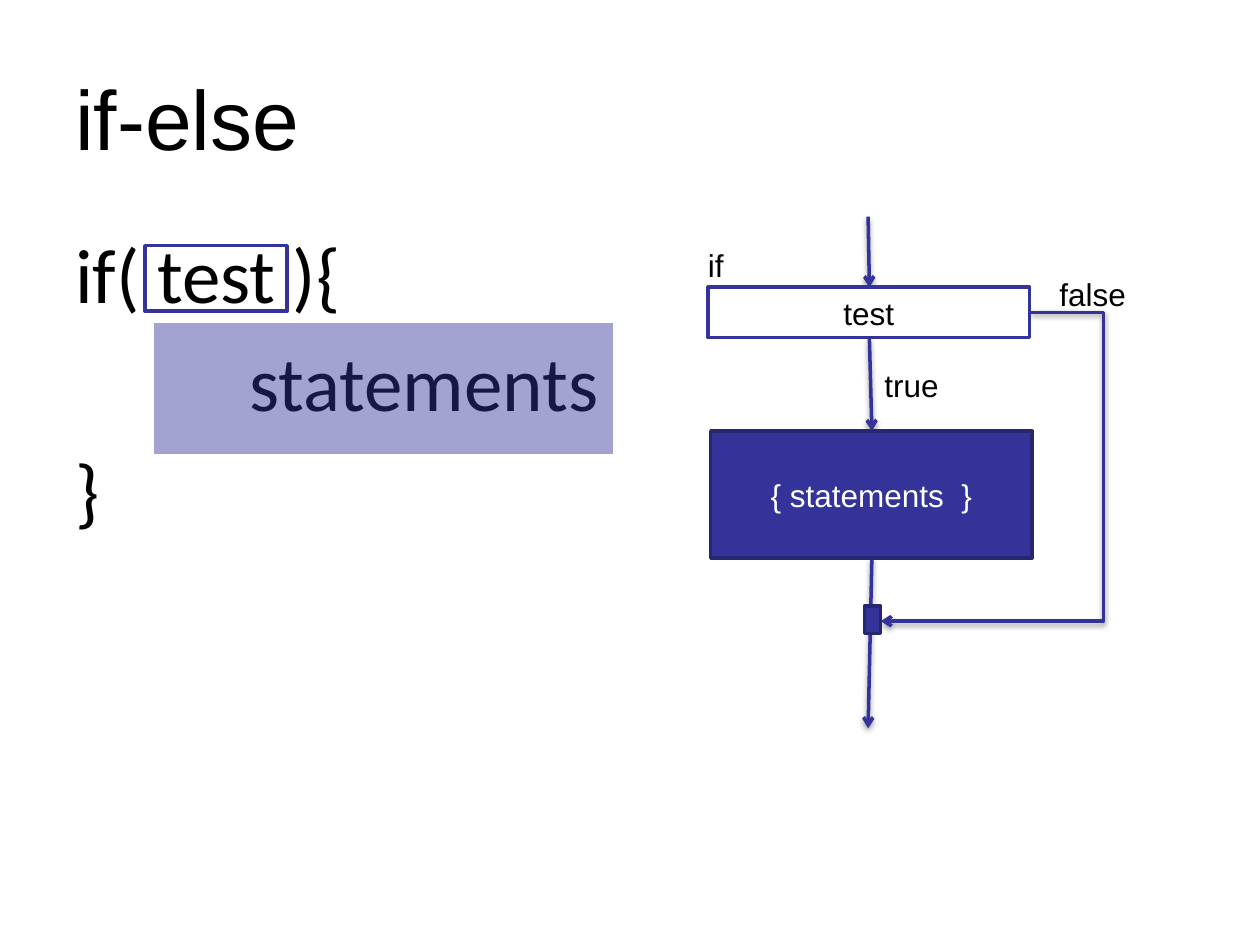
from lxml import etree
from pptx import Presentation
from pptx.dml.color import RGBColor
from pptx.enum.shapes import MSO_CONNECTOR as CONN, MSO_SHAPE as SHAPE
from pptx.enum.text import MSO_ANCHOR as ANCHOR, PP_ALIGN as ALIGN
from pptx.oxml import parse_xml
from pptx.oxml.ns import nsdecls, qn
from pptx.util import Inches, Pt

C = {"ink": "000000", "white": "FFFFFF", "blue": "333399", "edge": "262671"}
SHADOW = (
    f'<a:effectLst {nsdecls("a")}><a:outerShdw blurRad="40000" dist="20000" '
    'dir="5400000" rotWithShape="0"><a:srgbClr val="000000">'
    '<a:alpha val="38000"/></a:srgbClr></a:outerShdw></a:effectLst>'
)

prs = Presentation()
prs.slide_width, prs.slide_height = Inches(10), Inches(7.5)
s = prs.slides.add_slide(prs.slide_layouts[6])


def write(sp, text, size=18, font="Arial", color="ink", align=ALIGN.LEFT,
          anchor=ANCHOR.TOP, indents=(0,), before=0):
    """Fill a shape with one paragraph per line of text."""
    tf = sp.text_frame
    tf.word_wrap = True
    tf.vertical_anchor = anchor
    for i, line in enumerate(text.split("\n")):
        p = tf.paragraphs[0] if i == 0 else tf.add_paragraph()
        p.alignment = align
        p.space_before = Pt(before if i else 0)
        if indents[i]:
            p._p.get_or_add_pPr().set("marL", str(Inches(indents[i])))
        r = p.add_run()
        r.text = line
        r.font.size, r.font.name = Pt(size), font
        r.font.color.rgb = RGBColor.from_string(C[color])


def add_box(x, y, w, h, fill, line, alpha=None):
    """Draw an outlined rectangle, optionally filled or see-through."""
    sp = s.shapes.add_shape(SHAPE.RECTANGLE, Inches(x), Inches(y), Inches(w), Inches(h))
    sp.shadow.inherit = False
    sp.line.color.rgb = RGBColor.from_string(C[line])
    sp.line.width = Pt(2)
    if fill is None:
        sp.fill.background()
        return sp
    sp.fill.solid()
    sp.fill.fore_color.rgb = RGBColor.from_string(C[fill])
    if alpha:
        clr = sp._element.spPr.find(f'{qn("a:solidFill")}/{qn("a:srgbClr")}')
        etree.SubElement(clr, qn("a:alpha"), val=str(alpha * 1000))
    return sp


# Code and title
body = s.shapes.add_textbox(Inches(0.5), Inches(1.75), Inches(9), Inches(4.95))
write(body, "if( test ){\nstatements\n}", size=44, font="Calibri",
      indents=(0, 1.38, 0), before=8.8)
title = s.shapes.add_textbox(Inches(0.5), Inches(0.3), Inches(9), Inches(1.25))
write(title, "if-else", size=48, anchor=ANCHOR.MIDDLE)

# Flowchart arrows
arrows = [
    (CONN.STRAIGHT, 6.89, 1.72, 6.9, 2.28),   # into the test
    (CONN.STRAIGHT, 6.9, 2.69, 6.92, 3.42),   # true branch
    (CONN.ELBOW, 8.18, 2.48, 6.99, 4.93),     # false branch
    (CONN.STRAIGHT, 6.92, 4.43, 6.89, 5.78),  # way out
]
for kind, x1, y1, x2, y2 in arrows:
    cn = s.shapes.add_connector(kind, Inches(x1), Inches(y1), Inches(x2), Inches(y2))
    cn.line.color.rgb = RGBColor.from_string(C["blue"])
    cn.line.width = Pt(2)
    etree.SubElement(cn.line._get_or_add_ln(), qn("a:tailEnd"), type="arrow")
    spPr = cn._element.spPr
    spPr.append(parse_xml(SHADOW))
    if kind == CONN.ELBOW:
        # Push the bend out to the right of the start point
        av = spPr.find(f'{qn("a:prstGeom")}/{qn("a:avLst")}')
        etree.SubElement(av, qn("a:gd"), name="adj1", fmla="val -48500")

# Flowchart boxes
test = add_box(5.62, 2.28, 2.55, 0.4, "white", "blue")
write(test, "test", align=ALIGN.CENTER, anchor=ANCHOR.MIDDLE)
block = add_box(5.64, 3.42, 2.55, 1.01, "blue", "edge")
write(block, "{ statements  }", color="white", align=ALIGN.CENTER, anchor=ANCHOR.MIDDLE)
add_box(6.86, 4.81, 0.13, 0.22, "blue", "edge")  # where the branches join

# Flowchart labels
for text, x, y, w in [("if", 5.52, 1.9, 0.46), ("true", 6.92, 2.86, 0.89),
                      ("false", 8.31, 2.13, 1.03)]:
    write(s.shapes.add_textbox(Inches(x), Inches(y), Inches(w), Inches(0.56)), text)

# Highlights over the code
add_box(1.21, 2.55, 3.67, 1.07, "blue", "white", alpha=45)
add_box(1.15, 1.95, 1.13, 0.52, None, "blue")

prs.save("out.pptx")
